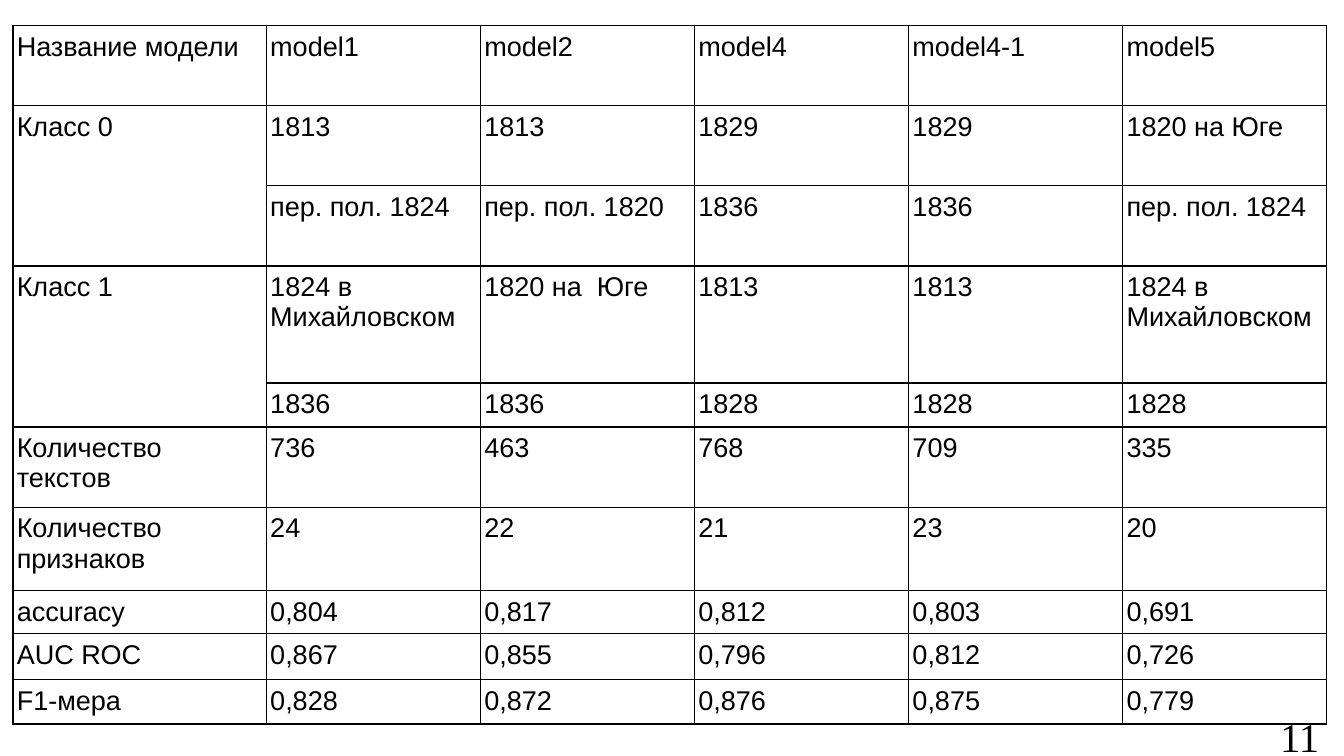
from lxml import etree
from pptx import Presentation
from pptx import util as u
from pptx.dml.color import RGBColor
from pptx.oxml import ns

HUES = {"ink": "000000", "paper": "FFFFFF"}
COLS = [5.28] + [4.46] * 4 + [4.25]
ROWS = [1.67, 1.67, 1.67, 2.44, 0.92, 1.67, 1.73, 0.9, 0.96, 0.92]
DATA = [
    ["Название модели", "model1", "model2", "model4", "model4-1", "model5"],
    ["Класс 0", "1813", "1813", "1829", "1829", "1820 на Юге"],
    ["", "пер. пол. 1824", "пер. пол. 1820", "1836", "1836", "пер. пол. 1824"],
    ["Класс 1", "1824 в\nМихайловском", "1820 на  Юге", "1813", "1813", "1824 в\nМихайловском"],
    ["", "1836", "1836", "1828", "1828", "1828"],
    ["Количество текстов", "736", "463", "768", "709", "335"],
    ["Количество признаков", "24", "22", "21", "23", "20"],
    ["accuracy", "0,804", "0,817", "0,812", "0,803", "0,691"],
    ["AUC ROC", "0,867", "0,855", "0,796", "0,812", "0,726"],
    ["F1-мера", "0,828", "0,872", "0,876", "0,875", "0,779"],
]


class Deck:
    def __init__(self, width, height):
        self.show = Presentation()
        self.show.slide_width = u.Cm(width)
        self.show.slide_height = u.Cm(height)
        self.slide = self.show.slides.add_slide(self.show.slide_layouts[6])

    def hue(self, name):
        return RGBColor.from_string(HUES[name])

    def fill_text(self, frame, words, font, size):
        for i, line in enumerate(words.split("\n")):
            para = frame.add_paragraph() if i else frame.paragraphs[0]
            run = para.add_run()
            run.text = line
            run.font.name = font
            run.font.size = u.Pt(size)
            run.font.color.rgb = self.hue("ink")

    def border(self, cell):
        props = cell._tc.get_or_add_tcPr()
        for i, side in enumerate("LRTB"):
            line = etree.Element(ns.qn("a:ln" + side), w=str(u.Pt(0.96)))
            fill = etree.SubElement(line, ns.qn("a:solidFill"))
            etree.SubElement(fill, ns.qn("a:srgbClr"), val=HUES["ink"])
            props.insert(i, line)

    def table(self, left, top, cols, rows, data, spans):
        frame = self.slide.shapes.add_table(
            len(rows), len(cols), u.Cm(left), u.Cm(top),
            u.Cm(sum(cols)), u.Cm(sum(rows)))
        grid = frame.table
        grid.first_row = grid.horz_banding = False
        for col, width in zip(grid.columns, cols):
            col.width = u.Cm(width)
        for row, height in zip(grid.rows, rows):
            row.height = u.Cm(height)
        for r in spans:
            grid.cell(r, 0).merge(grid.cell(r + 1, 0))
        for r, row in enumerate(data):
            for c, words in enumerate(row):
                cell = grid.cell(r, c)
                cell.margin_left = cell.margin_right = u.Cm(0.08)
                cell.margin_top = cell.margin_bottom = u.Cm(0.13)
                cell.fill.solid()
                cell.fill.fore_color.rgb = self.hue("paper")
                self.border(cell)
                if words:
                    self.fill_text(cell.text_frame, words, "Arial", 16)

    def label(self, left, top, width, height, words):
        box = self.slide.shapes.add_textbox(*map(u.Cm, (left, top, width, height)))
        box.text_frame.word_wrap = True
        self.fill_text(box.text_frame, words, "Times New Roman", 24)


def main():
    deck = Deck(28, 15.75)
    deck.table(0.27, 0.53, COLS, ROWS, DATA, spans=(1, 3))
    deck.label(26.42, 14.7, 1.58, 1.27, "11")
    deck.show.save("out.pptx")


if __name__ == "__main__":
    main()
